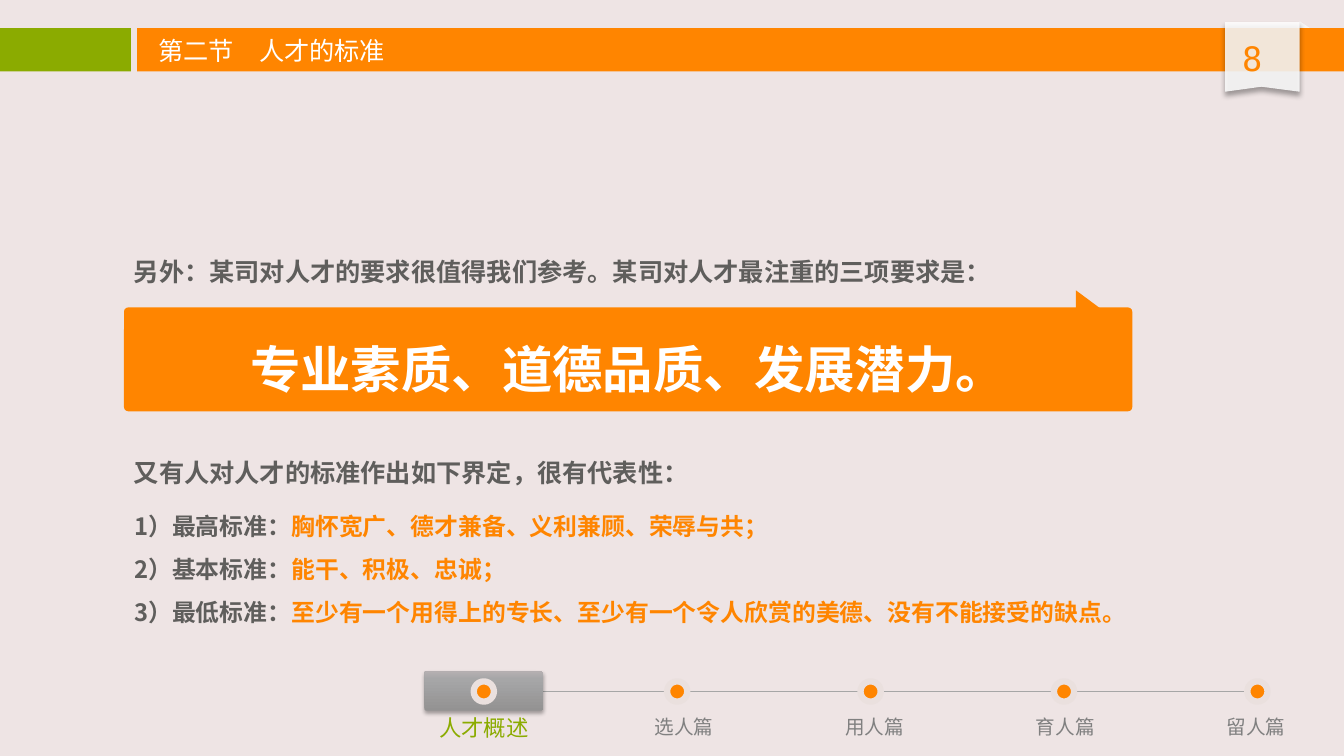
from copy import deepcopy
from dataclasses import dataclass

from lxml.etree import SubElement
from pptx import Presentation
from pptx.dml.color import RGBColor
from pptx.enum.shapes import MSO_CONNECTOR, MSO_SHAPE
from pptx.enum.text import MSO_ANCHOR, MSO_AUTO_SIZE, PP_ALIGN
from pptx.oxml.ns import qn
from pptx.util import Inches, Pt

HUES = {"back": "EEE4E4", "main": "FF8500", "green": "8BAB00", "white": "FFFFFF",
        "pale": "F8F8F8", "halo": "EAE0DE", "rule": "A6A6A6", "text": "5F5E5C",
        "mute": "808080", "shade": "000000"}
TAB_STOPS = ((0, "939292"), (80, "A6A6A7"), (100, "B6B0B2"))
FONT = "Noto Sans CJK SC"
MONO = "DejaVu Sans Mono"
WIDE, HIGH = Inches(13.33), Inches(7.5)


@dataclass
class Box:
    """Place and size as percent of the slide's width and height."""
    left: float
    top: float
    width: float
    height: float

    def emu(self) -> tuple[int, int, int, int]:
        return (across(self.left), down(self.top), across(self.width), down(self.height))


@dataclass
class Style:
    size: float
    hue: str
    bold: bool = False
    align: PP_ALIGN = PP_ALIGN.LEFT
    lead: float = 1.0
    font: str = FONT


@dataclass
class Stop:
    """A chapter on the progress line, with the centre of its label."""
    name: str
    mid: float
    size: int = 14
    hue: str = "mute"


@dataclass
class Level:
    head: str
    body: str


STOPS = (Stop("人才概述", 36, 16, "green"), Stop("选人篇", 50.9), Stop("用人篇", 65.08),
         Stop("育人篇", 79.26), Stop("留人篇", 93.44))
LEVELS = (Level("1）最高标准：", "胸怀宽广、德才兼备、义利兼顾、荣辱与共；"),
          Level("2）基本标准：", "能干、积极、忠诚；"),
          Level("3）最低标准：", "至少有一个用得上的专长、至少有一个令人欣赏的美德、没有不能接受的缺点。"))
LEADS = ((32, "另外：某司对人才的要求很值得我们参考。某司对人才最注重的三项要求是："),
         (58.67, "又有人对人才的标准作出如下界定，很有代表性："))


def across(share: float) -> int:
    return round(WIDE * share / 100)


def down(share: float) -> int:
    return round(HIGH * share / 100)


def rgb(hue: str) -> RGBColor:
    return RGBColor.from_string(HUES[hue])


def paint(shape, hue: str, alpha: int = 100) -> None:
    shape.shadow.inherit = False
    shape.fill.solid()
    shape.fill.fore_color.rgb = rgb(hue)
    shape.line.fill.background()
    if alpha < 100:
        tone = shape.fill._xPr.find(qn("a:solidFill"))[0]
        SubElement(tone, qn("a:alpha"), val=str(alpha * 1000))


def draw(slide, kind: MSO_SHAPE, box: Box, hue: str, alpha: int = 100):
    shape = slide.shapes.add_shape(kind, *box.emu())
    paint(shape, hue, alpha)
    return shape


def shade(shape, alpha: int, blur: float, dist: float) -> None:
    """Cast a soft shadow straight down."""
    effect = shape._element.spPr.find(qn("a:effectLst"))
    cast = SubElement(effect, qn("a:outerShdw"), blurRad=str(Pt(blur)), dist=str(Pt(dist)),
                      dir="5400000", algn="t", rotWithShape="0")
    tone = SubElement(cast, qn("a:srgbClr"), val=HUES["shade"])
    SubElement(tone, qn("a:alpha"), val=str(alpha * 1000))


def blend(shape) -> None:
    """Fill with the grey gradient, running upwards."""
    shape.fill.gradient()
    shape.fill.gradient_angle = 90
    stops = shape.fill._xPr.find(qn("a:gradFill")).find(qn("a:gsLst"))
    stops.append(deepcopy(stops[0]))
    for stop, (pos, tone) in zip(stops, TAB_STOPS):
        stop.set("pos", str(pos * 1000))
        for old in list(stop):
            stop.remove(old)
        SubElement(stop, qn("a:srgbClr"), val=tone)


def ink(run, style: Style) -> None:
    font = run.font
    font.size, font.bold, font.name = Pt(style.size), style.bold, style.font
    font.color.rgb = rgb(style.hue)
    SubElement(run._r.get_or_add_rPr(), qn("a:ea"), typeface=style.font)


def write(shape, text: str, style: Style, wrap: bool = True) -> None:
    frame = shape.text_frame
    frame.text = text
    frame.word_wrap = wrap
    frame.auto_size = MSO_AUTO_SIZE.NONE
    para = frame.paragraphs[0]
    para.alignment, para.line_spacing = style.align, style.lead
    ink(para.runs[0], style)


def label(slide, box: Box, text: str, style: Style, wrap: bool = True) -> None:
    write(slide.shapes.add_textbox(*box.emu()), text, style, wrap)


def place(shape, box: Box) -> None:
    shape.left, shape.top, shape.width, shape.height = box.emu()


def header(slide) -> None:
    draw(slide, MSO_SHAPE.RIGHT_TRIANGLE, Box(96.7, 2.8, 0.9, 1.07), "pale", 85)
    draw(slide, MSO_SHAPE.RECTANGLE, Box(0, 3.73, 9.75, 5.73), "green")
    draw(slide, MSO_SHAPE.RECTANGLE, Box(10.2, 3.73, 89.8, 5.73), "main")
    edge = [(across(x), down(y)) for x, y in
            ((91.15, 12.13), (91.15, 2.93), (96.7, 2.93), (96.7, 12.13), (93.85, 11.47))]
    path = slide.shapes.build_freeform(*edge[0])
    path.add_line_segments(edge[1:])
    ribbon = path.convert_to_shape()
    paint(ribbon, "white", 85)
    shade(ribbon, 40, 4, 3)
    label(slide, Box(90.4, 4.4, 5.55, 6.67), "8",
          Style(24, "main", align=PP_ALIGN.CENTER, font=MONO))


def footer(slide) -> None:
    rule = slide.shapes.add_connector(MSO_CONNECTOR.STRAIGHT, across(36.16), down(91.47),
                                      across(93.4), down(91.47))
    rule.line.color.rgb, rule.line.width = rgb("rule"), Pt(1)
    SubElement(rule._element.spPr, qn("a:effectLst"))
    tab = draw(slide, MSO_SHAPE.ROUNDED_RECTANGLE, Box(31.58, 88.8, 8.85, 5.2), "rule")
    tab.adjustments[0] = 0.05
    blend(tab)
    shade(tab, 35, 3.1, 1.8)
    for i, stop in enumerate(STOPS):
        dot = draw(slide, MSO_SHAPE.OVAL, Box(35.25 + 14.39 * i, 90.13, 1.5, 2.67), "main")
        dot.line.color.rgb, dot.line.width = rgb("halo"), Pt(4.5)
        label(slide, Box(stop.mid - 4.13, 93.87, 8.26, 4.93), stop.name,
              Style(stop.size, stop.hue, align=PP_ALIGN.CENTER), wrap=False)


def banner(slide) -> None:
    card = draw(slide, MSO_SHAPE.ROUNDED_RECTANGLE, Box(9.23, 40.67, 75.02, 13.73), "main")
    card.adjustments[0] = 0.04
    card.text_frame.vertical_anchor = MSO_ANCHOR.MIDDLE
    write(card, "专业素质、道德品质、发展潜力。",
          Style(36, "white", True, PP_ALIGN.CENTER, 1.3))
    flag = draw(slide, MSO_SHAPE.ISOSCELES_TRIANGLE, Box(80.05, 38.4, 2.33, 3.07), "main")
    flag.adjustments[0] = 0


def levels(body) -> None:
    place(body, Box(9.23, 65.73, 79.74, 17.87))
    frame = body.text_frame
    frame.auto_size = MSO_AUTO_SIZE.NONE
    for i, level in enumerate(LEVELS):
        para = frame.paragraphs[0] if i == 0 else frame.add_paragraph()
        props = para._p.get_or_add_pPr()
        props.set("marL", "0")
        props.set("indent", "0")
        SubElement(props, qn("a:buNone"))
        para.line_spacing, para.space_before = 1.35, Pt(3 if i else 0)
        for text, hue in ((level.head, "text"), (level.body, "main")):
            run = para.add_run()
            run.text = text
            ink(run, Style(17, hue, True))


def main() -> None:
    deck = Presentation()
    deck.slide_width, deck.slide_height = WIDE, HIGH
    slide = deck.slides.add_slide(deck.slide_layouts[1])
    slide.background.fill.solid()
    slide.background.fill.fore_color.rgb = rgb("back")
    header(slide)
    footer(slide)
    title, body = slide.placeholders
    place(title, Box(11.03, 4, 37.81, 5.33))
    write(title, "第二节　人才的标准", Style(18, "white"))
    for shape in (body, title):
        slide.shapes._spTree.append(shape._element)
    for top, text in LEADS:
        label(slide, Box(9.23, top, 70.82, 6.53), text, Style(18, "text", True, lead=1.3))
    levels(body)
    banner(slide)
    deck.save("out.pptx")


if __name__ == "__main__":
    main()
